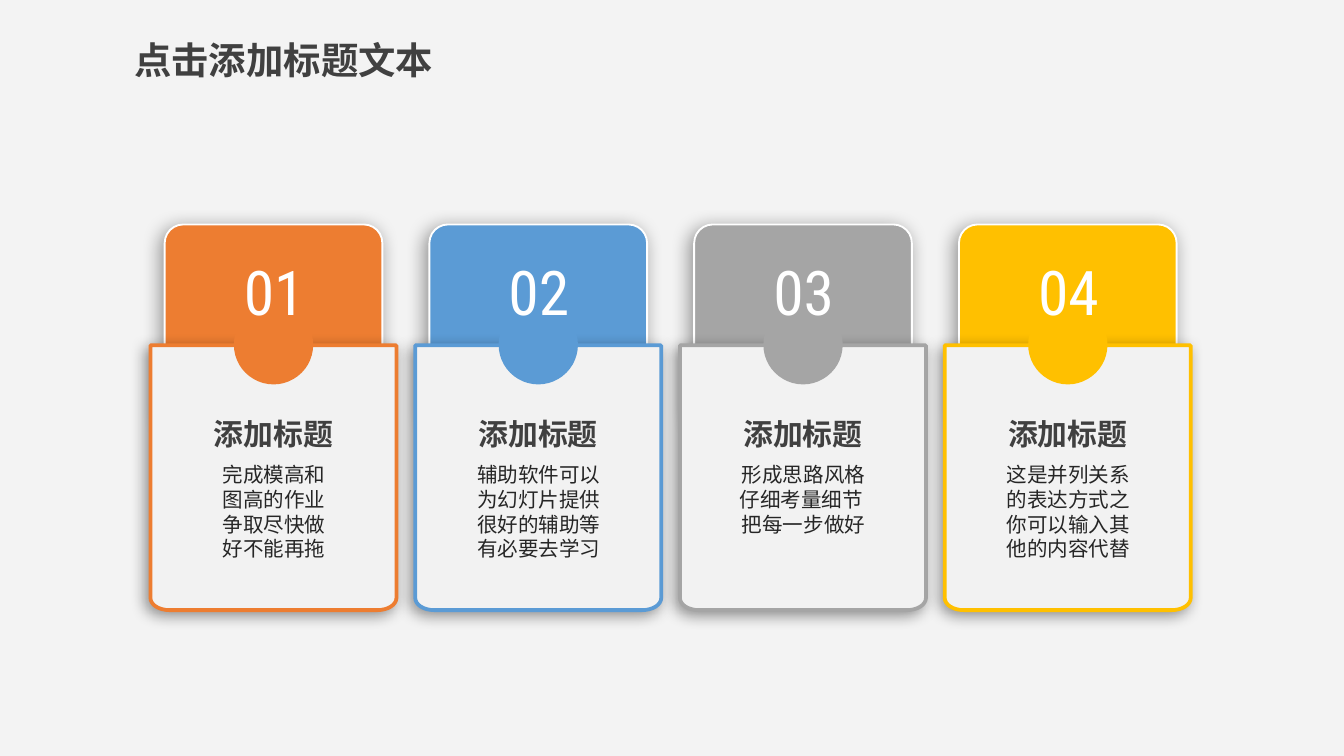
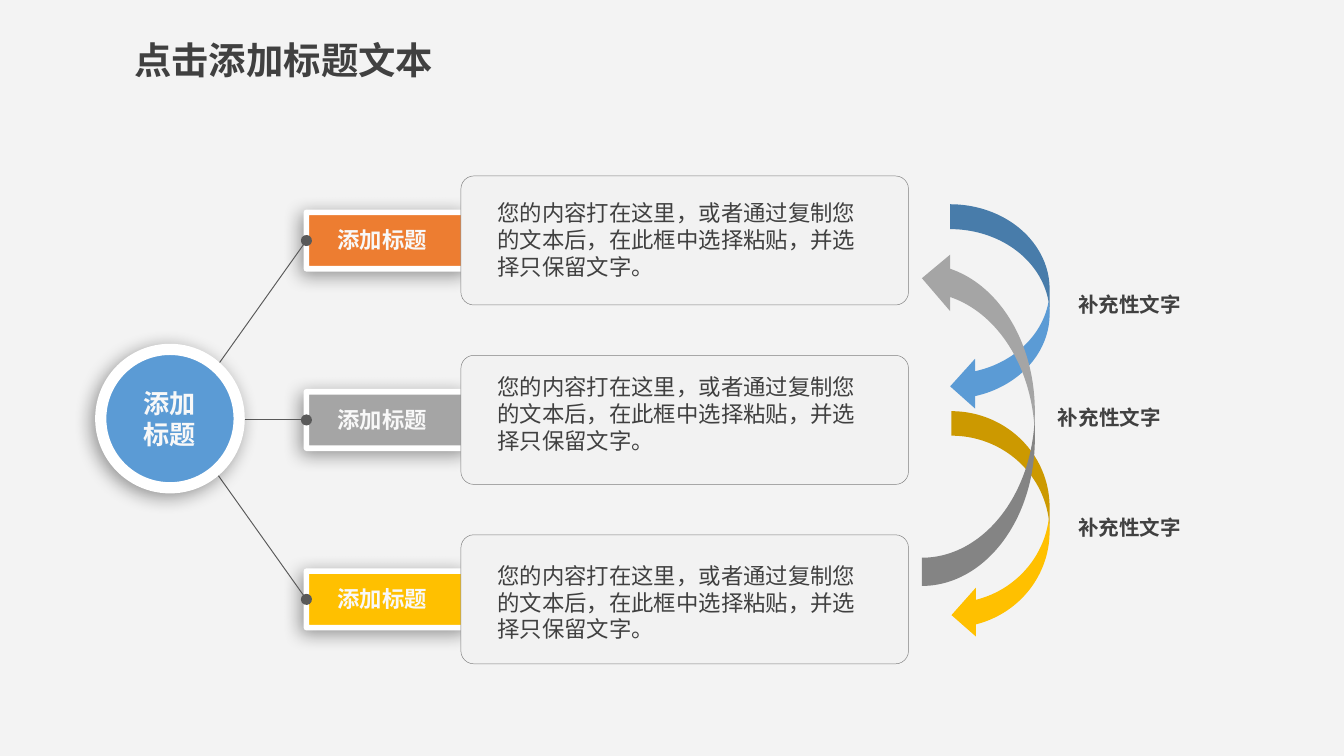
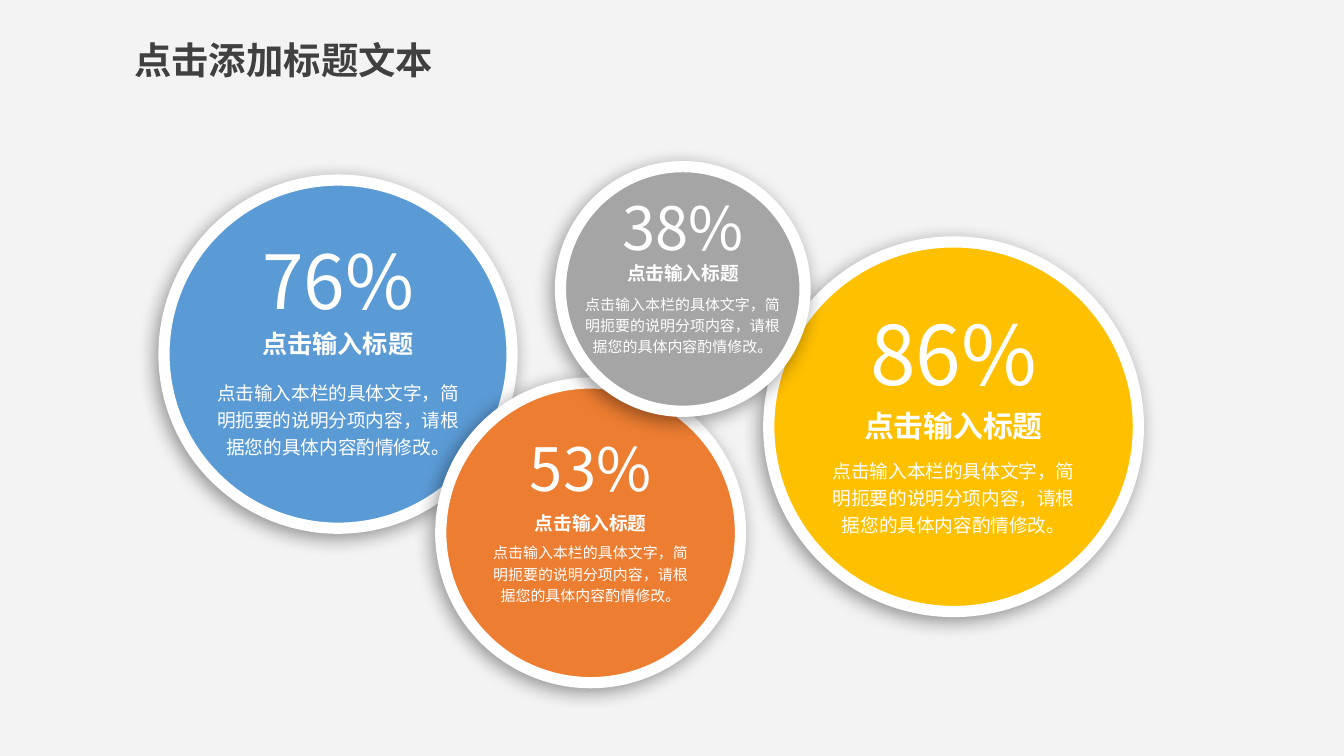
from math import cos, pi, sin

from lxml import etree
from pptx import Presentation
from pptx.dml.color import RGBColor
from pptx.enum.shapes import MSO_CONNECTOR, MSO_SHAPE
from pptx.enum.text import MSO_ANCHOR, MSO_AUTO_SIZE, PP_ALIGN
from pptx.oxml.ns import qn
from pptx.util import Inches, Pt

RECT = MSO_SHAPE.ROUNDED_RECTANGLE
OVAL = MSO_SHAPE.OVAL
TAG = MSO_SHAPE.PENTAGON
CURVED = MSO_SHAPE.CURVED_LEFT_ARROW
STRAIGHT = MSO_CONNECTOR.STRAIGHT
LEFT, CENTER = PP_ALIGN.LEFT, PP_ALIGN.CENTER
TOP, MIDDLE = MSO_ANCHOR.TOP, MSO_ANCHOR.MIDDLE
GROW, FIXED = MSO_AUTO_SIZE.SHAPE_TO_FIT_TEXT, MSO_AUTO_SIZE.NONE

CELL = Inches(0.1)
SANS, ROBOTO, CONDENSED = "Noto Sans CJK SC", "Roboto", "Roboto Condensed"
ORANGE, BLUE, GRAY, GOLD = "ED7D31", "5B9BD5", "A5A5A5", "FFC000"
PAGE, PANEL, WHITE, SOFT_WHITE = "F3F3F3", "F2F2F2", "FFFFFF", "F8F8F8"
DARK, INK, WIRE, EDGE = "404040", "262626", "595959", "808080"
SMALL_INSET = (0.7, 0.3)

TITLE = "点击添加标题文本"
CARDS = [
    ("01", ORANGE, ["完成模高和", "图高的作业", "争取尽快做", "好不能再拖"]),
    ("02", BLUE, ["辅助软件可以", "为幻灯片提供", "很好的辅助等", "有必要去学习"]),
    ("03", GRAY, ["形成思路风格", "仔细考量细节 ", "把每一步做好"]),
    ("04", GOLD, ["这是并列关系", "的表达方式之", "你可以输入其", "他的内容代替"]),
]
ROW_TEXT = "您的内容打在这里，或者通过复制您的文本后，在此框中选择粘贴，并选择只保留文字。"
ROWS = [(ORANGE, 2.1), (GRAY, 1.7), (GOLD, 2.4)]
ARROWS = [(BLUE, (70.7, 15.2, 7.4, 15.4)), (GOLD, (70.8, 30.6, 7.3, 17))]
RETURN_BOX = (68.6, 18.6, 8.4, 25)
NOTES = [(79.5, 21.4), (78, 29.8), (79.5, 38)]
BUBBLE_TEXT = "点击输入本栏的具体文字，简明扼要的说明分项内容，请根据您的具体内容酌情修改。"
BUBBLES = [
    ("86%", GOLD, (57.2, 18, 27.5), (4.6, 12.3, 15.9), (44, 16, 10), 18.6),
    ("76%", BLUE, (12.2, 13.4, 25.9), (4.1, 11, 14.7), (40, 13.5, 10), 18.6),
    ("53%", ORANGE, (32.8, 28.5, 22.3), (3.6, 9.6, 11.7), (32, 10, 8), 15.3),
    ("38%", GRAY, (41.7, 12.4, 18.2), (1.8, 7.1, 9.3), (32, 10, 8), 15.3),
]


def rgb(value):
    """Turn a hex string into a colour."""
    return RGBColor.from_string(value)


def cells(*values):
    """Turn grid cells into slide lengths."""
    return [round(v * CELL) for v in values]


def add_xml(parent, tag, **attrs):
    """Append a drawing element with attributes."""
    return etree.SubElement(parent, qn(tag), attrs)


def style(s, fill, line=None, width=1, blur=None):
    """Set fill, outline and an optional soft shadow."""
    s.shadow.inherit = False
    s.fill.solid()
    s.fill.fore_color.rgb = rgb(fill)
    if line:
        s.line.color.rgb = rgb(line)
        s.line.width = Pt(width)
    else:
        s.line.fill.background()
    if blur:
        effects = s._element.spPr.find(qn("a:effectLst"))
        outer = add_xml(effects, "a:outerShdw", blurRad=str(Pt(blur)), dist=str(Pt(3)),
                        dir=str(135 * 60000), algn="tr", rotWithShape="0")
        color = add_xml(outer, "a:srgbClr", val="000000")
        add_xml(color, "a:alpha", val="40000")
    return s


def add_box(shapes, kind, box, fill, line=None, width=1, blur=None, adj=None):
    """Add a styled preset shape on the grid."""
    s = shapes.add_shape(kind, *cells(*box))
    if adj is not None:
        s.adjustments[0] = adj
    return style(s, fill, line, width, blur)


def write(tf, lines, size, color, bold=False, font=SANS, align=CENTER,
          inset=SMALL_INSET, anchor=TOP, wrap=True, fit=GROW, spacing=None):
    """Write one paragraph per line into a text frame."""
    tf.word_wrap = wrap
    tf.auto_size = fit
    tf.vertical_anchor = anchor
    tf.margin_left = tf.margin_right = cells(inset[0])[0]
    tf.margin_top = tf.margin_bottom = cells(inset[1])[0]
    for i, line in enumerate(lines):
        p = tf.add_paragraph() if i else tf.paragraphs[0]
        p.alignment = align
        if spacing:
            p.line_spacing = spacing
        r = p.add_run()
        r.text = line
        r.font.size = Pt(size)
        r.font.bold = bold
        r.font.color.rgb = rgb(color)
        r.font.name = font
        add_xml(r._r.get_or_add_rPr(), "a:ea", typeface=font)


def add_text(shapes, box, lines, size, color, **options):
    """Add a text box on the grid."""
    sp = shapes.add_textbox(*cells(*box))
    write(sp.text_frame, lines, size, color, **options)


def new_slide(prs):
    """Add a blank slide with the shared background and title."""
    slide = prs.slides.add_slide(prs.slide_layouts[6])
    slide.background.fill.solid()
    slide.background.fill.fore_color.rgb = rgb(PAGE)
    add_text(slide.shapes, (9, 2.25, 24.5, 4.4), [TITLE], 20, DARK, bold=True,
             align=LEFT, inset=(1, 0.5), wrap=False)
    return slide


def add_pocket(shapes, box, color):
    """Draw a panel whose two lower corners are rounded."""
    x, y, w, h = box
    rx, ry = 1.4, 0.9
    turns = [i * pi / 16 for i in range(9)]
    right = [(x + w - rx + rx * cos(t), y + h - ry + ry * sin(t)) for t in turns]
    left = [(x + rx - rx * sin(t), y + h - ry + ry * cos(t)) for t in turns]
    points = [cells(*point) for point in [(x + w, y)] + right + left]
    builder = shapes.build_freeform(*cells(x, y))
    builder.add_line_segments(points, close=True)
    style(builder.convert_to_shape(), PANEL, color, 2, 8)


def add_card(slide, box, number, color, lines):
    """Place a numbered card, its pocket and its texts."""
    x, y, w, h = box
    shapes = slide.shapes.add_group_shape().shapes
    add_box(shapes, RECT, (x + 1.05, y, 16.2, 14.9), color, WHITE, 1, 10, 0.093)
    add_pocket(shapes, (x, y + 9, w, h - 9), color)
    add_box(shapes, OVAL, (x + 6.2, y + 6, 5.9, 5.9), color)
    inset = (0.7, 0.4)
    add_text(shapes, (x + 4.7, y + 1.8, 9, 6.4), [number], 33, WHITE,
             font=CONDENSED, inset=inset)
    add_text(shapes, (x + 3.65, y + 13.8, 11, 3.4), ["添加标题"], 16, DARK,
             bold=True, inset=inset)
    add_text(shapes, (x + 2.3, y + 17.3, 13.8, 1 + 1.8 * len(lines)), lines, 11, INK,
             inset=inset)


def cards_slide(prs):
    """Build the row of four cards."""
    slide = new_slide(prs)
    for i, card in enumerate(CARDS):
        add_card(slide, (11.2 + 19.7 * i, 16.7, 18.3, 28.7), *card)


def add_row(shapes, box, color, text_top):
    """Place a tag and its text panel, and return the tag."""
    x, y, w, h = box
    tag = add_box(shapes, TAG, (x, y + 2.7, 13.8, 4.2), color, WHITE, 3, 10)
    add_text(shapes, (x + 1.6, y + 3.4, 11.5, 2.7), ["添加标题"], 12, SOFT_WHITE,
             bold=True, align=LEFT, anchor=MIDDLE, fit=FIXED)
    add_box(shapes, RECT, (x + 11.5, y, w - 11.5, h), PANEL, EDGE, 0.25, adj=0.1)
    add_text(shapes, (x + 13.5, y + text_top, 29.1, 5.2), [ROW_TEXT], 12, DARK,
             align=LEFT, anchor=MIDDLE, fit=FIXED)
    return tag


def add_spoke(shapes, start, tag):
    """Join the hub to the left side of a tag."""
    c = shapes.add_connector(STRAIGHT, *cells(*start, *start))
    c.end_connect(tag, 1)
    c.line.color.rgb = rgb(WIRE)
    c.line.width = Pt(0.5)
    ln = c.line._get_or_add_ln()
    add_xml(ln, "a:headEnd", type="oval")
    add_xml(ln, "a:tailEnd", type="oval")
    add_xml(c._element.spPr, "a:effectLst")


def add_hub(shapes, box):
    """Place the round hub with its label."""
    s = add_box(shapes, OVAL, box, BLUE, WHITE, 6, 10)
    write(s.text_frame, ["添加", "标题"], 14, SOFT_WHITE, bold=True,
          anchor=MIDDLE, fit=FIXED)


def add_cycle(shapes):
    """Place the curved arrows and the notes beside them."""
    for color, box in ARROWS:
        add_box(shapes, CURVED, box, color)
    back = add_box(shapes, CURVED, RETURN_BOX, GRAY)
    back.rotation = 180
    back._element.spPr.find(qn("a:xfrm")).set("flipH", "1")
    for x, y in NOTES:
        add_text(shapes, (x, y, 9.1, 2.5), ["补充性文字"], 11, DARK,
                 bold=True, font=ROBOTO)


def hub_slide(prs):
    """Build the hub with three rows and a cycle of arrows."""
    shapes = new_slide(prs).shapes
    tags = [add_row(shapes, (22.8, 13.1 + 13.35 * i, 44.8, 9.6), *row)
            for i, row in enumerate(ROWS)]
    for tag in tags:
        add_spoke(shapes, (13.3, 31.25), tag)
    add_hub(shapes, (7.5, 26, 10.3, 10.3))
    add_cycle(shapes)


def add_bubble(slide, figure, color, circle, tops, sizes, text_width):
    """Place a circle with a figure, a heading and a text."""
    x, y, d = circle
    shapes = slide.shapes.add_group_shape().shapes
    add_box(shapes, OVAL, (x, y, d, d), color, WHITE, 6, 10)
    center = x + d / 2
    figure_size, heading_size, _ = sizes
    parts = [
        (figure, 0.32 * figure_size, 1.7, dict(wrap=False)),
        ("点击输入标题", 0.95 * heading_size, 1.7, dict(wrap=False, bold=True)),
        (BUBBLE_TEXT, text_width, 6, dict(spacing=1.2)),
    ]
    for (text, w, lines, options), top, size in zip(parts, tops, sizes):
        add_text(shapes, (center - w / 2, y + top, w, lines * size / 10), [text], size,
                 WHITE, inset=(0, 0), **options)


def bubbles_slide(prs):
    """Build the four overlapping circles."""
    slide = new_slide(prs)
    for bubble in BUBBLES:
        add_bubble(slide, *bubble)


def main():
    """Build the slides and save them."""
    prs = Presentation()
    prs.slide_width, prs.slide_height = cells(100, 56.25)
    cards_slide(prs)
    hub_slide(prs)
    bubbles_slide(prs)
    prs.save("out.pptx")


if __name__ == "__main__":
    main()
